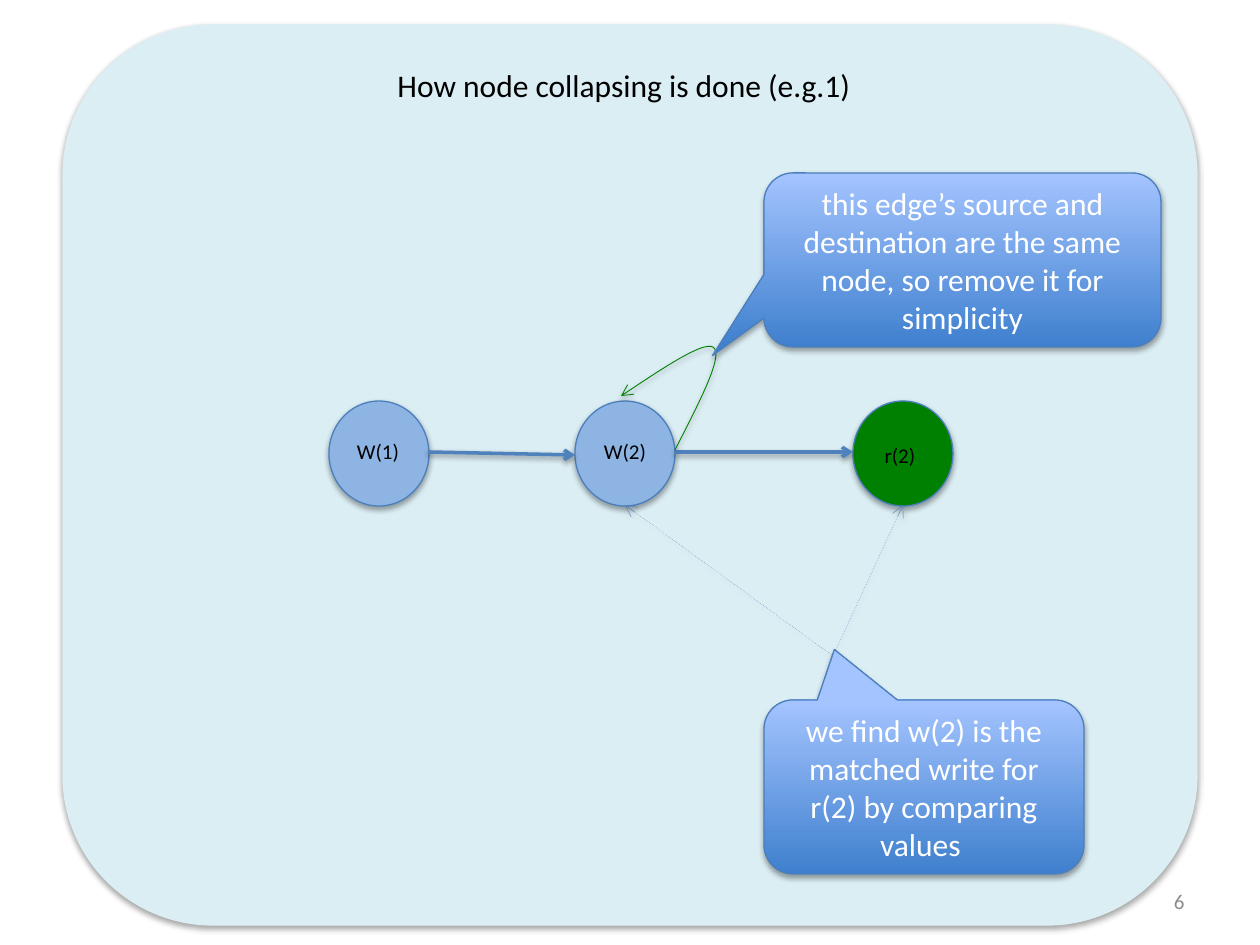
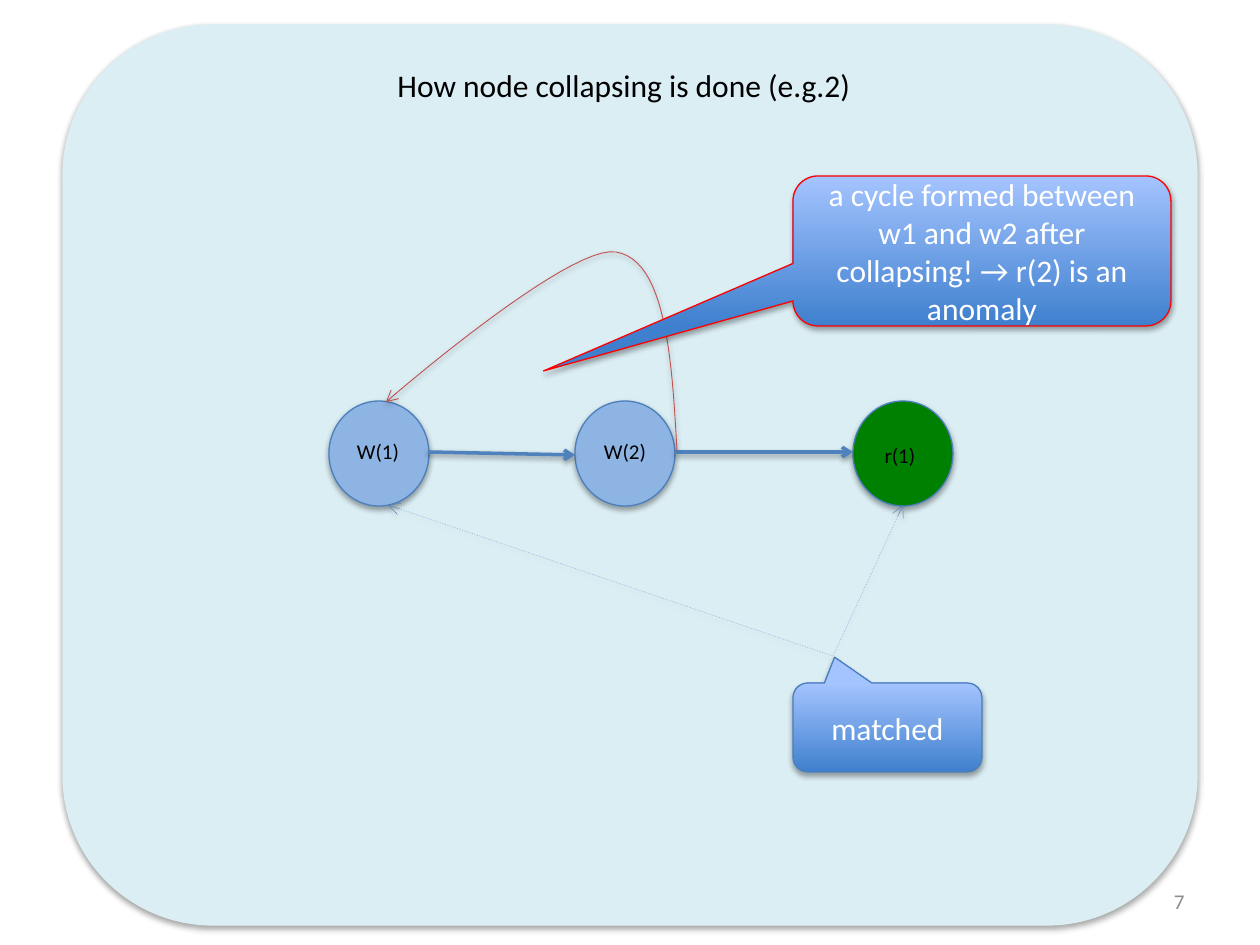
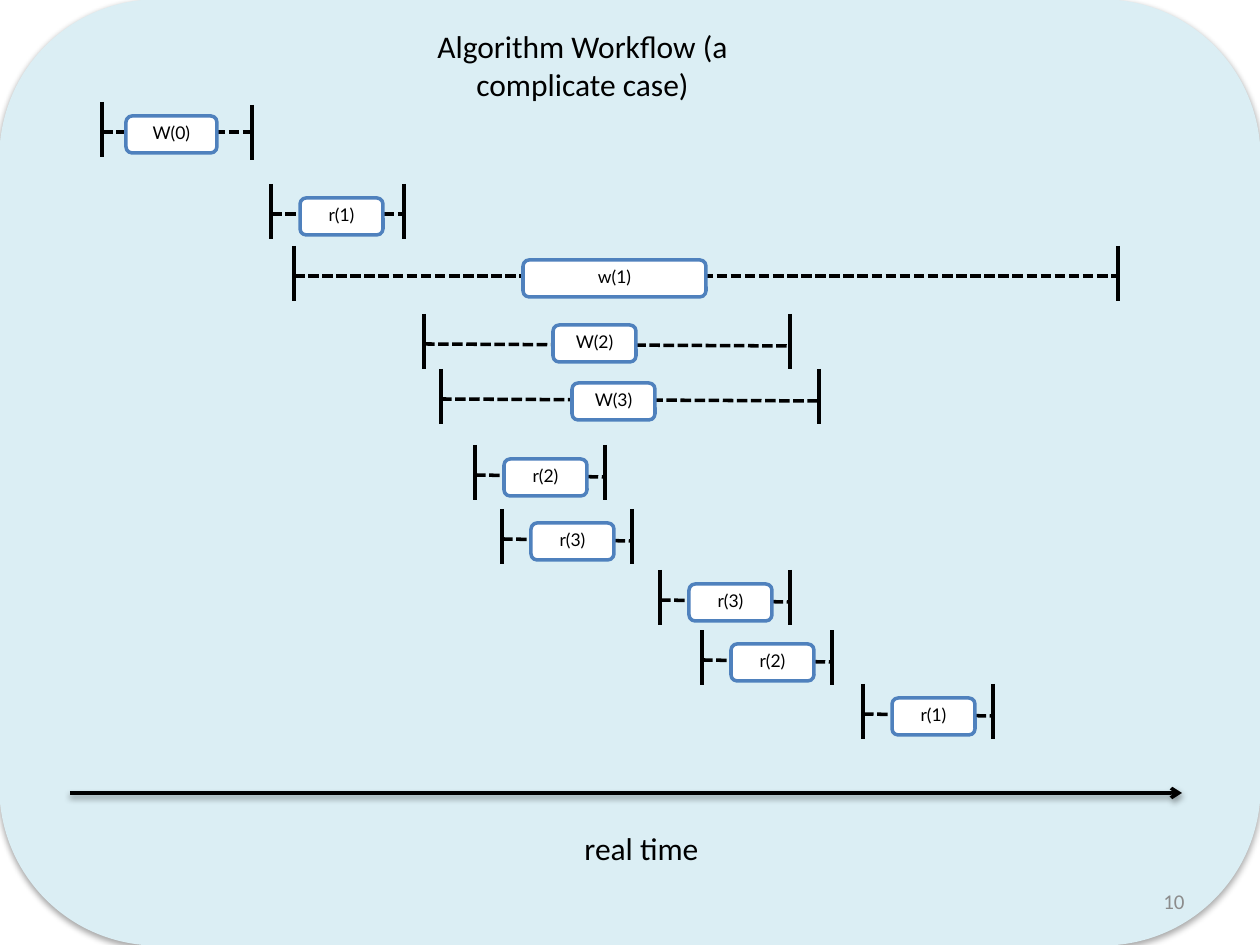
import lxml.etree
import pptx
import pptx.dml.color
import pptx.enum.shapes
import pptx.enum.text
import pptx.oxml.ns
import pptx.util

SCALE = 914400 / 126
KIND = pptx.enum.shapes.MSO_SHAPE
ALIGN = pptx.enum.text.PP_ALIGN
ANCHOR = pptx.enum.text.MSO_ANCHOR

COLORS = {
    "card": "DBEEF4", "write": "8EB4E3", "read": "008000", "edge": "4B7EBC",
    "link": "4F81BD", "black": "000000", "white": "FFFFFF", "gray": "8C8C8C",
    "deep": "3F80CE", "pale": "A4C4FF", "alarm": "FF0000", "cycle": "C0504D",
}

# Shadow strength in percent and distance in EMU
SHAPE_SHADE = (35, 23000)
LINE_SHADE = (38, 20000)

CARD = (63, 25, 1134, 900)
HEADING = (360, 60, 528, 50)
NUMBER = (903, 876, 294, 50)
NODE_TOP, NODE_WIDTH, NODE_HEIGHT = 401, 100, 105
NODE_LEFTS = (329, 575, 853)
LABEL_SHIFTS = ((11, 31), (12, 31), (9, 35))
EDGES = [((428, 452), (575, 455)), ((675, 452), (853, 452))]
MEET = (833, 656)

GRAPHS = [
    {
        "title": "How node collapsing is done (e.g.1)",
        "number": "6",
        "labels": ("W(1)", "W(2)", "r(2)"),
        "matches": [(903, 505), (625, 505)],
        "curve": ("read", (675, 450), [
            ((699, 403), (723, 357), (714, 348)),
            ((706, 339), (663, 368), (621, 396))]),
        "callouts": [
            ("we find w(2) is the matched write for r(2) by comparing values ",
             (764, 700, 320, 174), (-0.28, -0.79), "edge"),
            ("this edge’s source and destination are the same node, "
             "so remove it for simplicity",
             (764, 173, 397, 174), (-0.63, 0.55), "edge")],
    },
    {
        "title": "How node collapsing is done (e.g.2)",
        "number": "7",
        "labels": ("W(1)", "W(2)", "r(1)"),
        "matches": [(903, 505), (388, 505)],
        "curve": ("cycle", (677, 450), [
            ((672, 355), (665, 260), (616, 252)),
            ((568, 244), (386, 402), (386, 402))]),
        "callouts": [
            ("matched", (793, 683, 189, 89), (-0.28, -0.79), "edge"),
            ("a cycle formed between w1 and w2 after collapsing! "
             "→ r(2) is an anomaly",
             (793, 176, 378, 150), (-1.16, 0.8), "alarm")],
    },
]

# label, left bar (x, top), right bar (x, top), box (left, top, width), tilt
SPANS = [
    ("W(0)", (102, 102), (252, 105), (126, 116, 91), 0),
    ("r(1)", (271, 184), (404, 184), (300, 198, 83), 0),
    ("w(1)", (294, 246), (1118, 246), (523, 260, 183), 0),
    ("W(2)", (424, 314), (790, 314), (553, 325, 83), 2),
    ("W(3)", (441, 369), (819, 369), (572, 383, 83), 2),
]
# label, left bar x, top: these all have the same length
READS = [
    ("r(2)", 475, 445), ("r(3)", 502, 509), ("r(3)", 660, 570),
    ("r(2)", 702, 630), ("r(1)", 863, 684),
]
SPANS += [(label, (x, y), (x + 130, y), (x + 29, y + 14, 83), 2)
          for label, x, y in READS]
BAR_HEIGHT, BOX_HEIGHT, DASH_DROP = 55, 37, 30


def emu(*lengths):
    return [round(length * SCALE) for length in lengths]


def rgb(name):
    return pptx.dml.color.RGBColor.from_string(COLORS[name])


def node(parent, tag, **attrs):
    """Add a drawing element below parent."""
    return lxml.etree.SubElement(parent, pptx.oxml.ns.qn("a:" + tag), attrs)


def shade(shape, look):
    """Give the shape its shadow, or none; call after fill and line."""
    effects = node(shape._element.spPr, "effectLst")
    if look:
        alpha, dist = look
        outer = node(effects, "outerShdw", blurRad="40000", dist=str(dist),
                     dir="5400000", rotWithShape="0")
        color = node(outer, "srgbClr", val=COLORS["black"])
        node(color, "alpha", val=str(alpha * 1000))


def stroke(shape, color, width, dash=None, arrow=False):
    shape.line.color.rgb = rgb(color)
    shape.line.width = pptx.util.Pt(width)
    line = shape._element.spPr.find(pptx.oxml.ns.qn("a:ln"))
    if dash:
        node(line, "prstDash", val=dash)
    if arrow:
        node(line, "tailEnd", type="arrow")


def write(shape, text, size, color="black", font="Calibri",
          align=ALIGN.CENTER, anchor=ANCHOR.TOP):
    frame = shape.text_frame
    frame.word_wrap = True
    frame.vertical_anchor = anchor
    para = frame.paragraphs[0]
    para.alignment = align
    run = para.add_run()
    run.text = text
    run.font.size = pptx.util.Pt(size)
    run.font.name = font
    run.font.color.rgb = rgb(color)
    return para


def add_text(slide, area, text, size, **style):
    write(slide.shapes.add_textbox(*emu(*area)), text, size, **style)


def add_shape(slide, kind, area, fill, edge, width=0.75, look=SHAPE_SHADE):
    shape = slide.shapes.add_shape(kind, *emu(*area))
    shape.fill.solid()
    shape.fill.fore_color.rgb = rgb(fill)
    stroke(shape, edge, width)
    shade(shape, look)
    return shape


def add_line(slide, start, end, color, width, look=None, **style):
    line = slide.shapes.add_connector(
        pptx.enum.shapes.MSO_CONNECTOR.STRAIGHT, *emu(*start, *end))
    stroke(line, color, width, **style)
    shade(line, look)


def add_curve(slide, color, start, parts, steps=24):
    """Trace cubic curves as one open outline ending in an arrow."""
    points, first = [], start
    for b, c, d in parts:
        for step in range(1, steps + 1):
            t = step / steps
            u = 1 - t
            points.append(emu(*(
                u**3 * p + 3 * u * u * t * q + 3 * u * t * t * r + t**3 * s
                for p, q, r, s in zip(first, b, c, d))))
        first = d
    builder = slide.shapes.build_freeform(*emu(*start))
    builder.add_line_segments(points, close=False)
    curve = builder.convert_to_shape()
    curve.fill.background()
    stroke(curve, color, 0.5, arrow=True)
    shade(curve, LINE_SHADE)


def add_callout(slide, text, area, tip, edge):
    shape = slide.shapes.add_shape(KIND.ROUNDED_RECTANGULAR_CALLOUT, *emu(*area))
    for index, value in enumerate(tip):
        shape.adjustments[index] = value
    shape.fill.gradient()
    shape.fill.gradient_angle = 90
    for stop, place, color in zip(shape.fill.gradient_stops, (0, 1), ("deep", "pale")):
        stop.position = place
        stop.color.rgb = rgb(color)
    stroke(shape, edge, 0.75)
    shade(shape, SHAPE_SHADE)
    write(shape, text, 18, "white", anchor=ANCHOR.MIDDLE)


def add_page(deck, title, number, card=CARD, heading=HEADING):
    slide = deck.slides.add_slide(deck.slide_layouts[6])
    add_shape(slide, KIND.ROUNDED_RECTANGLE, card, "card", "card")
    add_text(slide, heading, title, 18)
    add_text(slide, NUMBER, number, 12, color="gray",
             align=ALIGN.RIGHT, anchor=ANCHOR.MIDDLE)
    return slide


def add_graph(deck, graph):
    slide = add_page(deck, graph["title"], graph["number"])
    fills = ("write", "write", "read")
    for label, left, shift, fill in zip(graph["labels"], NODE_LEFTS,
                                        LABEL_SHIFTS, fills):
        add_shape(slide, KIND.OVAL, (left, NODE_TOP, NODE_WIDTH, NODE_HEIGHT),
                  fill, "edge")
        add_text(slide, (left + shift[0], NODE_TOP + shift[1], 76, 38), label, 12)
    for start, end in EDGES:
        add_line(slide, start, end, "link", 2, LINE_SHADE, arrow=True)
    for end in graph["matches"]:
        add_line(slide, MEET, end, "link", 0.25, LINE_SHADE, dash="dot", arrow=True)
    add_curve(slide, *graph["curve"])
    for callout in graph["callouts"]:
        add_callout(slide, *callout)


def add_span(slide, label, left, right, box, tilt):
    """Draw one operation from its start bar to its end bar."""
    level = left[1] + DASH_DROP
    add_line(slide, (left[0], level), (right[0], level + tilt),
             "black", 2, dash="sysDash")
    for x, y in (left, right):
        add_line(slide, (x, y), (x, y + BAR_HEIGHT), "black", 2)
    shape = add_shape(slide, KIND.ROUNDED_RECTANGLE, (*box, BOX_HEIGHT),
                      "white", "link", 2, look=None)
    write(shape, label, 10, font="Lato").line_spacing = 0.9


def add_timeline(deck):
    slide = add_page(deck, "Algorithm Workflow (a complicate case)", "10",
                     (0, 0, 1260, 945), (364, 21, 437, 89))
    add_line(slide, (70, 793), (1182, 793), "black", 2, LINE_SHADE, arrow=True)
    add_text(slide, (530, 823, 223, 50), "real time", 18)
    for span in SPANS:
        add_span(slide, *span)


def main():
    deck = pptx.Presentation()
    deck.slide_width, deck.slide_height = emu(1260, 945)
    for graph in GRAPHS:
        add_graph(deck, graph)
    add_timeline(deck)
    deck.save("out.pptx")


if __name__ == "__main__":
    main()
